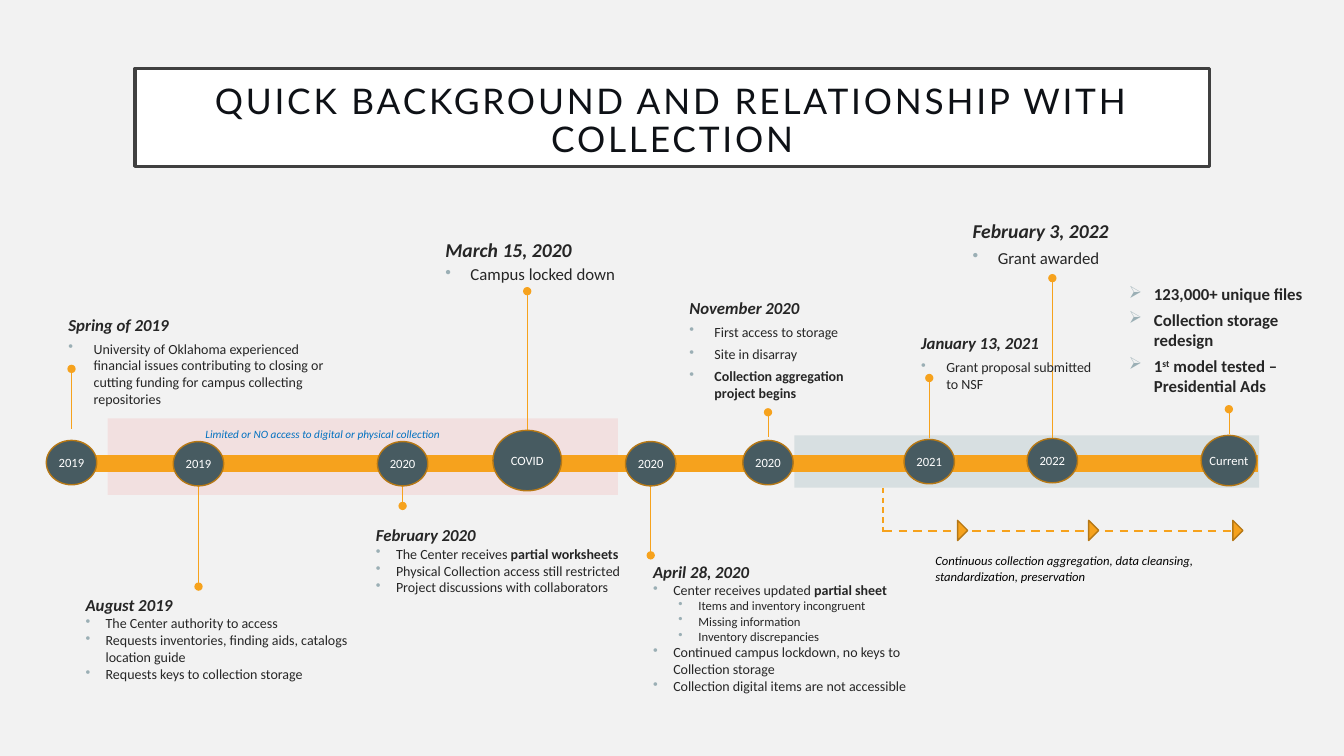
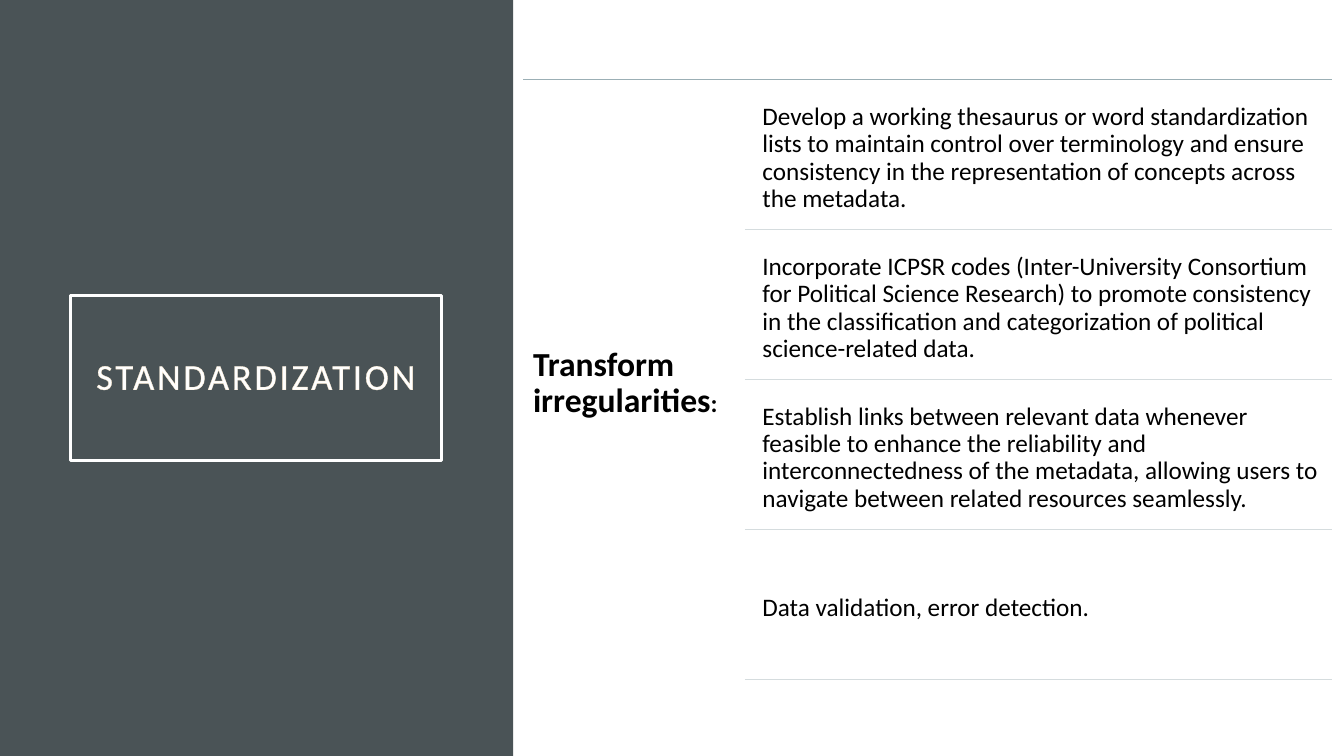
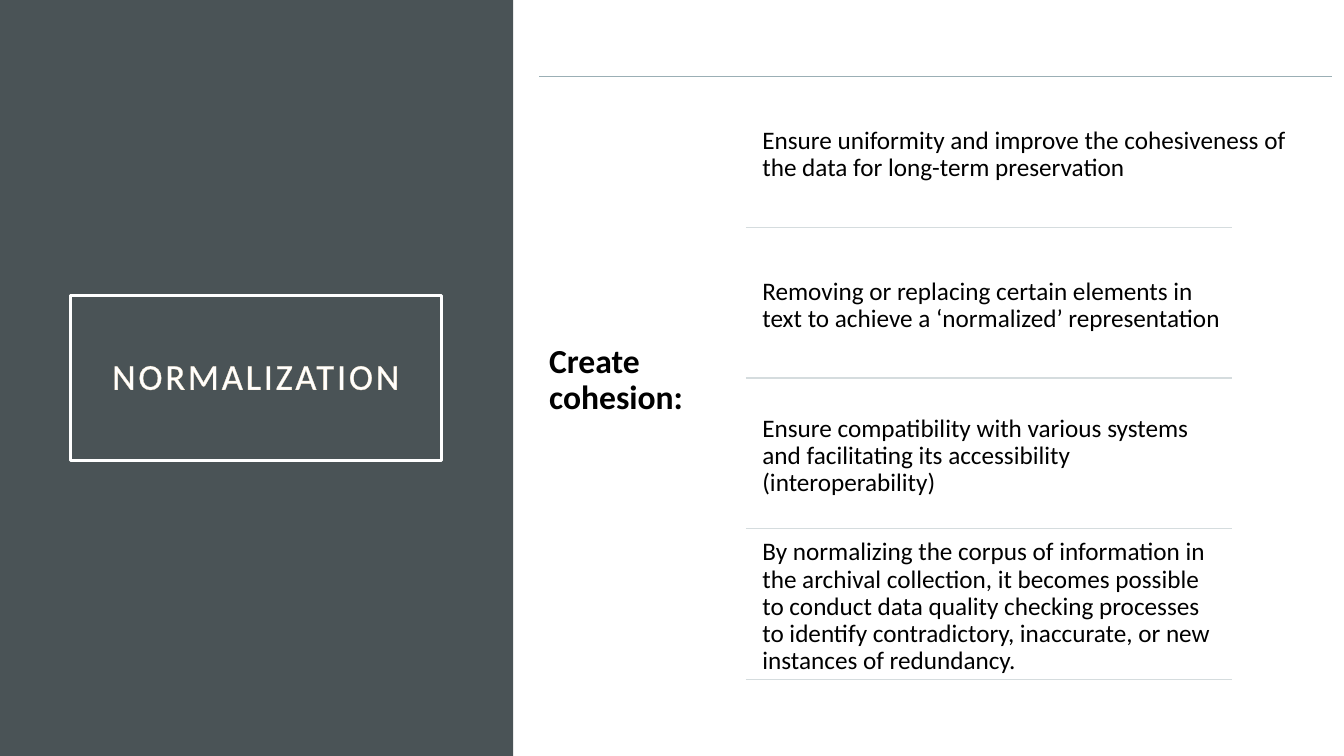
from lxml import etree
from pptx import Presentation
from pptx.dml.color import RGBColor
from pptx.enum import dml, shapes, text
from pptx.oxml import ns
from pptx.util import Pt

COLORS = {
    "paper": "F2F2F2", "white": "FFFFFF", "black": "000000", "ink": "262626",
    "title": "0E1116", "frame": "404040", "panel": "4A5356", "node": "475B61",
    "amber": "F6A21D", "brown": "B67815", "red": "FF0000", "mist": "D7DFE1",
    "bullet": "9BAFB5", "rule": "D5DCDE", "blue": "0070C0", "glow": "FDECD2",
}
SHAPE, ALIGN, ANCHOR = shapes.MSO_SHAPE, text.PP_ALIGN, text.MSO_ANCHOR
BOLD = {"bold": True}

# Timeline content: centre x, label, top, width, height, stem dot y, stem end y
NODES = [
    (51.1, "2019", 314.6, 36, 31.7, 263.5, 306.7),
    (141.8, "2019", 315.4, 36, 31.7, 419, 342.7),
    (287.6, "2020", 315.4, 36, 31.7, 361.4, 332),
    (376.6, "COVID", 307.4, 49, 43.2, 208, 319.7),
    (464.8, "2020", 315.4, 36, 31.7, 396.7, 333.4),
    (548.6, "2020", 314.6, 36, 31.7, 294.5, 312.5),
    (663.8, "2021", 313.9, 36, 31.7, 270, 313.2),
    (751.7, "2022", 313.2, 36, 31.7, 198.7, 333.4),
    (877.8, "Current", 311, 39.6, 36, 292.3, 310.3),
]

# Notes: box, heading, heading size, item size, gap before items, items.
# An item is a list of runs; a nested tuple holds sub-items.
NOTES_ABOVE = [
    ((41.8, 221, 201, 90), "Spring of 2019", 12, 10, 4, [
        ["University of Oklahoma experienced financial issues contributing to "
         "closing or cutting funding for campus collecting repositories"]]),
    ((311, 166.3, 136, 56), "March 15, 2020", 14, 12, 2, [["Campus locked down"]]),
    ((485.3, 208.8, 136, 56), "November 2020", 12, 10, 4, [
        ["First access to storage"], ["Site in disarray"],
        [("Collection aggregation project begins", BOLD)]]),
    ((650.9, 234, 136, 43), "January 13, 2021", 12, 10, 4, [
        ["Grant proposal submitted to NSF"]]),
    ((687.6, 152.6, 118.8, 43), "February 3, 2022", 14, 12, 4, [["Grant awarded"]]),
]
NOTES_BELOW = [
    ((54, 414, 215.3, 90), "August 2019", 12, 10, 0, [
        ["The Center authority to access"],
        ["Requests inventories, finding aids, catalogs location guide"],
        ["Requests keys to collection storage"]]),
    ((261.4, 364.3, 201, 90), "February 2020", 12, 10, 0, [
        ["The Center receives ", ("partial worksheets", BOLD)],
        ["Physical Collection access still restricted"],
        ["Project discussions with collaborators"]]),
    ((459.4, 390.2, 201, 90), "April 28, 2020", 12, 10, 0, [
        ["Center receives updated ", ("partial sheet", BOLD)],
        ("Items and inventory incongruent", "Missing information",
         "Inventory discrepancies"),
        ["Continued campus lockdown, no keys to Collection storage"],
        ["Collection digital items are not accessible"]]),
]
RESULTS = [
    ["123,000+ unique files"],
    ["Collection storage redesign"],
    ["1", ("st", {"baseline": 30000}), " model tested – Presidential Ads"],
]
CAPTIONS = [
    ((661, 391.7, 257, 29), "Continuous collection aggregation, data cleansing, "
     "standardization, preservation", 9, "black"),
    ((139.7, 301.7, 312.5, 17.3),
     "Limited or NO access to digital or physical collection", 8, "blue"),
]

# Panel slides: label x, first rule y, label width, rule x range,
# text widths (first row, other rows)
TOPICS = [
    {"title": "STANDARDIZATION",
     "label": [("Transform irregularities", {}), (":", {"size": 18})],
     "box": (373.7, 57, 158.4), "rules": (532, 951.2), "widths": (411, 411),
     "rows": [
         "Develop a working thesaurus or word standardization lists to maintain control "
         "over terminology and ensure consistency in the representation of concepts "
         "across the metadata.",
         "Incorporate ICPSR codes (Inter-University Consortium for Political Science "
         "Research) to promote consistency in the classification and categorization of "
         "political science-related data.",
         "Establish links between relevant data whenever feasible to enhance the "
         "reliability and interconnectedness of the metadata, allowing users to navigate "
         "between related resources seamlessly.",
         "Data validation, error detection."]},
    {"title": "NORMALIZATION",
     "label": [("Create cohesion:", {})],
     "box": (385.2, 54.7, 148.3), "rules": (532.8, 880), "widths": (412, 340.6),
     "rows": [
         "Ensure uniformity and improve the cohesiveness of the data for long-term "
         "preservation",
         "Removing or replacing certain elements in text to achieve a ‘normalized’ "
         "representation",
         "Ensure compatibility with various systems and facilitating its accessibility "
         "(interoperability)",
         "By normalizing the corpus of information in the archival collection, it becomes "
         "possible to conduct data quality checking processes to identify contradictory, "
         "inaccurate, or new instances of redundancy."]},
]
LAST_RULE = 485.2


# Helpers
def rgb(name):
    return RGBColor.from_string(COLORS[name])


def add_xml(parent, tag, **attrs):
    return etree.SubElement(parent, ns.qn(tag), attrs)


def pts(values):
    return [Pt(v) for v in values]


def paint(sp, fill=None, line=None, width=1):
    if fill:
        sp.fill.solid()
        sp.fill.fore_color.rgb = rgb(fill)
    else:
        sp.fill.background()
    if line:
        sp.line.color.rgb = rgb(line)
        sp.line.width = Pt(width)
    else:
        sp.line.fill.background()


def shape(s, kind, box, fill, line=None):
    sp = s.shapes.add_shape(kind, *pts(box))
    sp.shadow.inherit = False
    paint(sp, fill, line)
    return sp


def rule(s, x1, y1, x2, y2, color, width, dash=False, **ends):
    c = s.shapes.add_connector(shapes.MSO_CONNECTOR.STRAIGHT, *pts((x1, y1, x2, y2)))
    c.line.color.rgb = rgb(color)
    c.line.width = Pt(width)
    if dash:
        c.line.dash_style = dml.MSO_LINE.DASH
    for end, kind in ends.items():
        add_xml(c.line._get_or_add_ln(), "a:" + end, type=kind)
    add_xml(c.element.spPr, "a:effectLst")


def frame(sp, insets=(7.2, 3.6, 7.2, 3.6), anchor=ANCHOR.TOP, wrap=True):
    tf = sp.text_frame
    tf.word_wrap, tf.vertical_anchor = wrap, anchor
    tf.auto_size = text.MSO_AUTO_SIZE.NONE
    for side, value in zip(("left", "top", "right", "bottom"), insets):
        setattr(tf, "margin_" + side, Pt(value))
    return tf


def text_box(s, box, **layout):
    return frame(s.shapes.add_textbox(*pts(box)), **layout)


def para(tf, runs, size, color="ink", font="Calibri", bullet=None, indent=(0, 0),
         before=0, spacing=None, align=None, **style):
    first = not tf.paragraphs[0].runs
    p = tf.paragraphs[0] if first else tf.add_paragraph()
    if bullet:
        pPr = p._p.get_or_add_pPr()
        pPr.set("marL", str(Pt(indent[0])))
        pPr.set("indent", str(Pt(indent[1])))
        add_xml(add_xml(pPr, "a:buClr"), "a:srgbClr", val=COLORS["bullet"])
        add_xml(pPr, "a:buChar", char=bullet)
    p.space_before = Pt(0 if first else before)
    p.line_spacing, p.alignment = spacing, align
    for item in runs:
        words, extra = (item, {}) if isinstance(item, str) else item
        r = p.add_run()
        r.text = words
        look = {"name": font, "size": size, **style, **extra}
        look["size"] = Pt(look["size"])
        raised = look.pop("baseline", None)
        for key, value in look.items():
            setattr(r.font, key, value)
        r.font.color.rgb = rgb(color)
        if raised:
            r.font._element.set("baseline", str(raised))
    return p


def new_slide(background, words, box, insets, size, color, font, fill, line):
    s = prs.slides.add_slide(prs.slide_layouts[5])
    s.background.fill.solid()
    s.background.fill.fore_color.rgb = rgb(background)
    sp = s.shapes.title
    sp.left, sp.top, sp.width, sp.height = pts(box)
    paint(sp, fill, line, 2.5)
    p = para(frame(sp, insets, ANCHOR.MIDDLE), [words], size, color, font,
             spacing=0.9, align=ALIGN.CENTER)
    p.runs[0].font._element.set("spc", "200")
    return s


def note(s, box, heading, head_size, size, gap, items, tight):
    tf = text_box(s, box)
    para(tf, [heading], head_size, bold=True, italic=True, spacing=1.5 if tight else None)
    step = 14.4 if tight else 18
    for item in items:
        if isinstance(item, tuple):
            for sub in item:
                para(tf, [sub], size - 1, bullet="•", indent=(32.4, -step))
        else:
            para(tf, item, size, bullet="•", indent=(step, -step), before=gap)


def timeline_slide():
    s = new_slide("paper", "QUICK BACKGROUND AND RELATIONSHIP WITH COLLECTION",
                  (96.5, 49, 767.5, 69.8), (14.4, 21.6, 14.4, 14.4),
                  25.2, "title", "Lato", "white", "frame")
    # Periods and time bar
    closed = shape(s, SHAPE.FLOWCHART_PROCESS, (77, 298.8, 364.3, 54.7), "red")
    add_xml(closed.element.spPr.find(".//" + ns.qn("a:srgbClr")), "a:alpha", val="7000")
    shape(s, SHAPE.RECTANGLE, (567.4, 311, 332, 37.4), "mist")
    shape(s, SHAPE.MATH_MINUS, (-114.5, 306, 1167.8, 50.4), "amber")
    # Stems, then nodes over them
    for cx, _, _, _, _, dot, end in NODES:
        rule(s, cx, dot, cx, end, "amber", 0.5, headEnd="oval")
    for cx, label, top, w, h, _, _ in NODES:
        sp = shape(s, SHAPE.FLOWCHART_CONNECTOR, (cx - w / 2, top, w, h), "node", "brown")
        para(frame(sp, (0, 0, 0, 0), ANCHOR.MIDDLE, False), [label], 9, "white",
             align=ALIGN.CENTER)
    # Notes
    for notes, tight in ((NOTES_ABOVE, False), (NOTES_BELOW, True)):
        for entry in notes:
            note(s, *entry, tight)
    tf = text_box(s, (799.2, 199.4, 141, 56))
    for runs in RESULTS:
        para(tf, runs, 12, bullet="➢", indent=(18, -18), before=4, bold=True)
    # Continuing work
    rule(s, 630.7, 348.5, 630.7, 383, "amber", 1, dash=True)
    rule(s, 631.4, 379.4, 887.8, 379.4, "amber", 1.5, dash=True, tailEnd="triangle")
    for x in (680.4, 774, 877):
        sp = shape(s, SHAPE.ISOSCELES_TRIANGLE, (x, 375.3, 14.4, 7.2), "amber", "brown")
        sp.rotation = 90
    for box, words, size, color in CAPTIONS:
        para(text_box(s, box), [words], size, color, italic=True)


def topic_slide(topic):
    s = new_slide("white", topic["title"], (50.4, 211, 265, 118), (14.4,) * 4,
                  26, "white", "Calibri", None, "white")
    title = s.shapes.title
    panel = shape(s, SHAPE.RECTANGLE, (0, 0, 366.5, 540), "panel")
    title.element.addprevious(panel.element)
    # Letter outline
    ln = etree.Element(ns.qn("a:ln"), w=str(Pt(0.75)))
    add_xml(add_xml(ln, "a:solidFill"), "a:srgbClr", val=COLORS["glow"])
    title.text_frame.paragraphs[0].runs[0].font._element.insert(0, ln)
    # Label and ruled rows
    x, top, w = topic["box"]
    left, right = topic["rules"]
    step = (LAST_RULE - top) / len(topic["rows"])
    rule(s, x, top, 951.8, top, "bullet", 0.5)
    para(text_box(s, (x, top, w, 434), insets=(7.2,) * 4, anchor=ANCHOR.MIDDLE),
         topic["label"], 24, "black", spacing=0.9, bold=True)
    for i, words in enumerate(topic["rows"]):
        y = top + i * step
        box = (539.6, y + 5, topic["widths"][min(i, 1)], 102.2)
        para(text_box(s, box, insets=(5,) * 4, anchor=ANCHOR.MIDDLE), [words], 18,
             "black", spacing=0.9)
        rule(s, left, y + step, right, y + step, "rule", 1)


prs = Presentation()
prs.slide_width, prs.slide_height = Pt(960), Pt(540)
timeline_slide()
for topic in TOPICS:
    topic_slide(topic)
prs.save("out.pptx")
